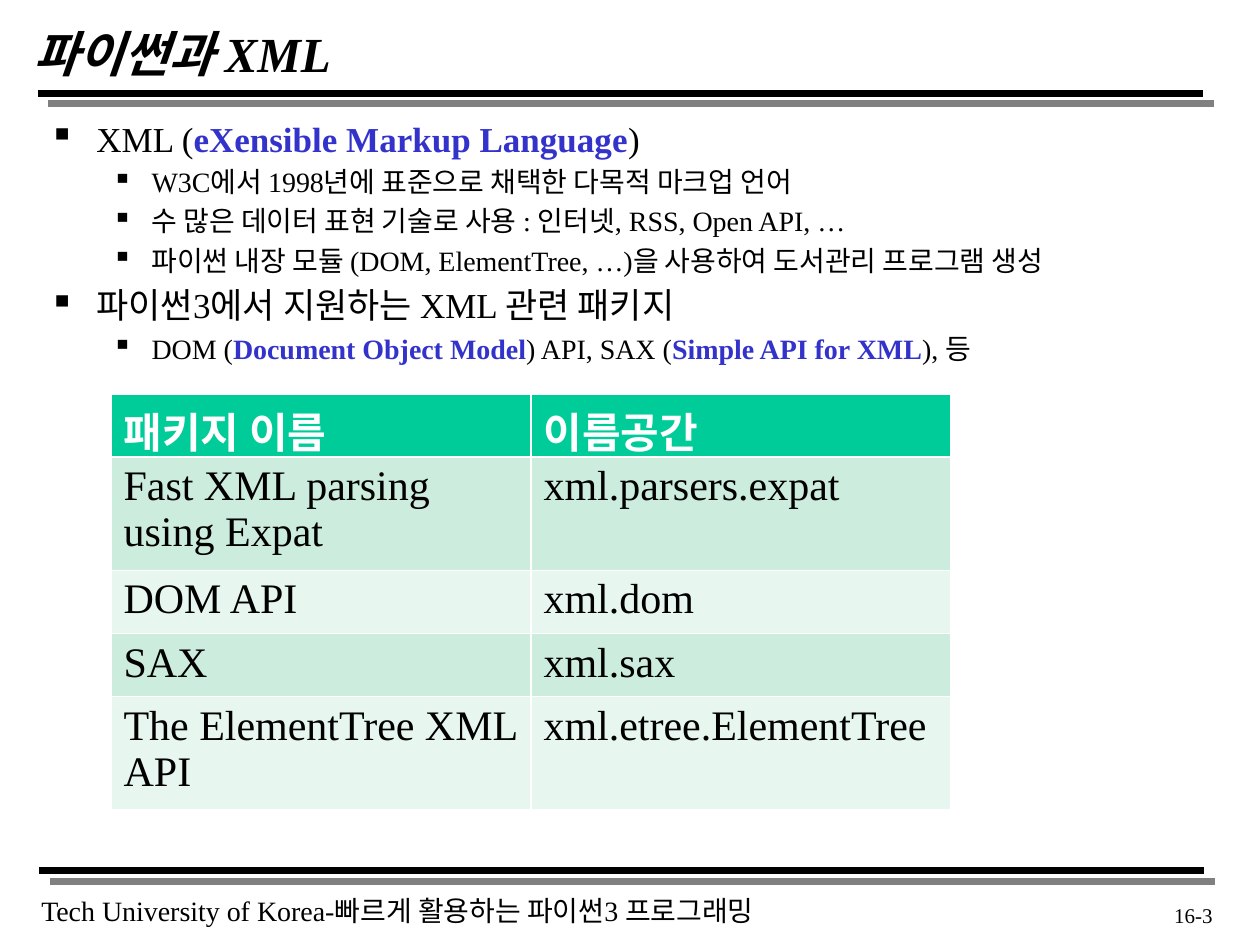
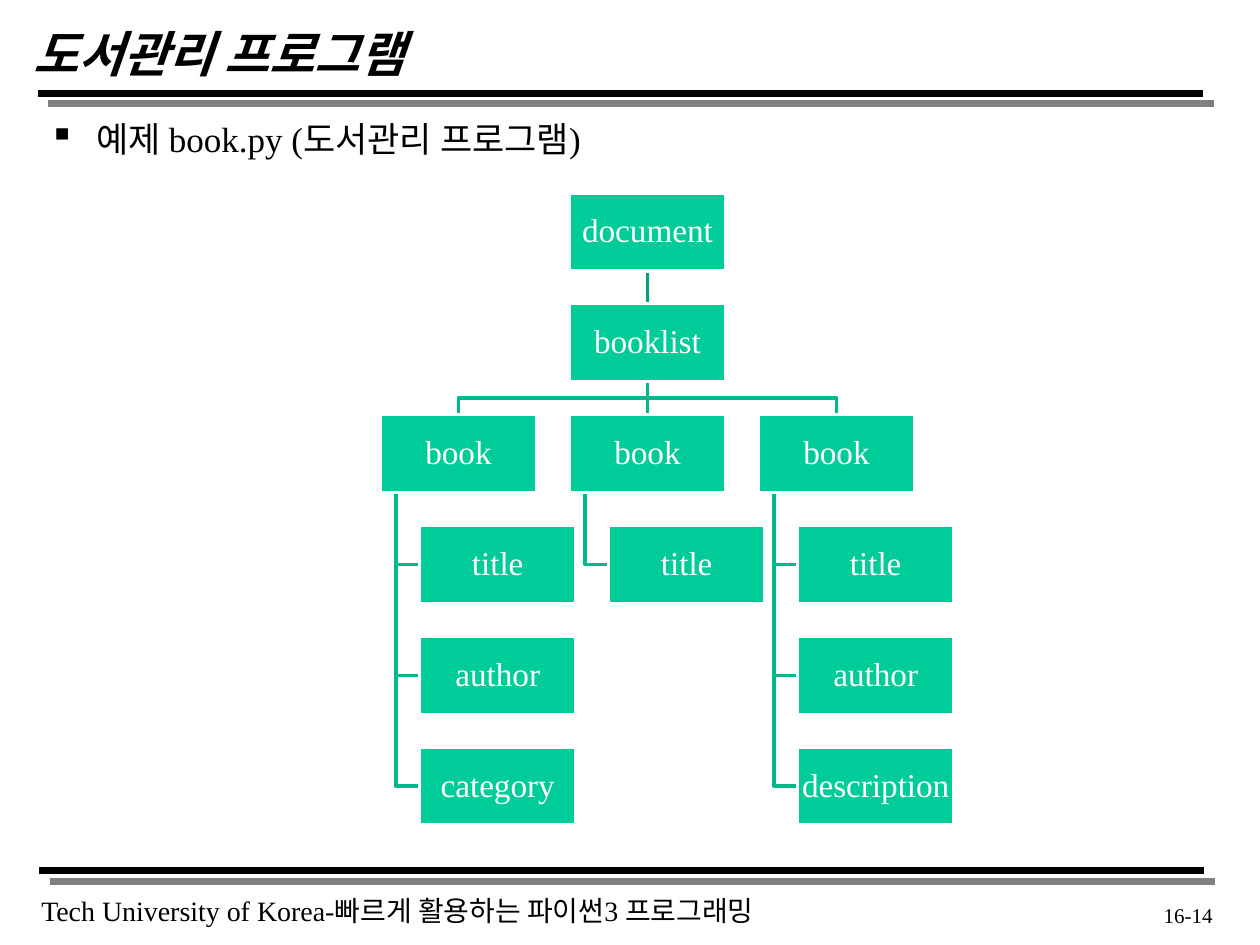
from lxml import etree
from pptx import Presentation
from pptx.dml.color import RGBColor
from pptx.enum.shapes import MSO_CONNECTOR, MSO_SHAPE
from pptx.enum.text import MSO_ANCHOR, MSO_AUTO_SIZE, PP_ALIGN
from pptx.oxml import parse_xml
from pptx.oxml.ns import qn
from pptx.util import Pt

STRAIGHT = MSO_CONNECTOR.STRAIGHT
RECTANGLE = MSO_SHAPE.RECTANGLE
MIDDLE = MSO_ANCHOR.MIDDLE
NO_FIT = MSO_AUTO_SIZE.NONE
LEFT, CENTER, RIGHT = PP_ALIGN.LEFT, PP_ALIGN.CENTER, PP_ALIGN.RIGHT

BLACK = RGBColor(0x00, 0x00, 0x00)
WHITE = RGBColor(0xFF, 0xFF, 0xFF)
BLUE = RGBColor(0x33, 0x33, 0xCC)
GREEN = RGBColor(0x00, 0xCC, 0x99)
ROOT_LINK = RGBColor(0x00, 0xA3, 0x7B)
LINK = RGBColor(0x00, 0xB9, 0x8B)
ROW_TINTS = [RGBColor(0xE7, 0xF6, 0xEF), RGBColor(0xCC, 0xEC, 0xDE)]

FONT = "Times New Roman"
FOOTER = "Tech University of Korea-빠르게 활용하는 파이썬3 프로그래밍"
BAND_SHADOW = (
    '<a:effectLst xmlns:a="http://schemas.openxmlformats.org/drawingml/2006/main">'
    '<a:outerShdw dist="107950" dir="2700000" algn="ctr" rotWithShape="0">'
    '<a:srgbClr val="808080"/></a:outerShdw></a:effectLst>'
)

# Bullet levels: left margin, hanging indent, text size, space before
LEVELS = [(27, 27, 20, 4), (58.5, 22.5, 16, 3.2)]

# Page title, page number, bullets as (level, text) with *highlighted* words
PAGES = [
    ("파이썬과 XML", "16-3", [
        (0, "XML (*eXensible Markup Language*)"),
        (1, "W3C에서 1998년에 표준으로 채택한 다목적 마크업 언어"),
        (1, "수 많은 데이터 표현 기술로 사용 : 인터넷, RSS, Open API, …"),
        (1, "파이썬 내장 모듈 (DOM, ElementTree, …)을 사용하여 도서관리 프로그램 생성"),
        (0, "파이썬3에서 지원하는 XML 관련 패키지"),
        (1, "DOM (*Document Object Model*) API, SAX (*Simple API for XML*), 등"),
    ]),
    ("도서관리 프로그램", "16-14", [(0, "예제 book.py (도서관리 프로그램)")]),
]

PACKAGES = [
    ("패키지 이름", "이름공간"),
    ("Fast XML parsing using Expat", "xml.parsers.expat"),
    ("DOM API", "xml.dom"),
    ("SAX", "xml.sax"),
    ("The ElementTree XML API", "xml.etree.ElementTree"),
]

BOOKS = [["title", "author", "category"], ["title"], ["title", "author", "description"]]


def write(para, text, color=BLACK, **format_values):
    span = para.add_run()
    span.text = text
    span.font.name = FONT
    span.font.color.rgb = color
    for name, value in format_values.items():
        setattr(span.font, name, value)


def link(page, points, color=LINK):
    """Draw an open line through points given in points of length."""
    if len(points) == 2:
        line = page.shapes.add_connector(STRAIGHT, *[Pt(v) for point in points for v in point])
        etree.SubElement(line._element.spPr, qn("a:effectLst"))
    else:
        corners = [(Pt(x), Pt(y)) for x, y in points]
        builder = page.shapes.build_freeform(*corners[0], scale=1.0)
        builder.add_line_segments(corners[1:], close=False)
        line = builder.convert_to_shape()
        line.fill.background()
        line.shadow.inherit = False
    line.line.color.rgb = color
    line.line.width = Pt(2)


deck = Presentation()
deck.slide_width, deck.slide_height = Pt(720), Pt(540)
title_only = deck.slide_layouts[5]

for title_text, number, bullets in PAGES:
    page = deck.slides.add_slide(title_only)

    for left, y in [(21.6, 53.3), (22.3, 497.5)]:
        band = page.shapes.add_connector(STRAIGHT, Pt(left), Pt(y), Pt(left + 666), Pt(y))
        band.line.color.rgb = BLACK
        band.line.width = Pt(4)
        band._element.spPr.append(parse_xml(BAND_SHADOW))

    footer = page.shapes.add_textbox(Pt(16.5), Pt(507), Pt(447), Pt(26.6))
    write(footer.text_frame.paragraphs[0], FOOTER, size=Pt(16))

    title = page.shapes.title
    title.left, title.top, title.width, title.height = Pt(12), Pt(12), Pt(612), Pt(36)
    title.text_frame.auto_size = NO_FIT
    title.text_frame.vertical_anchor = MIDDLE
    para = title.text_frame.paragraphs[0]
    para.alignment = LEFT
    write(para, title_text, size=Pt(28), bold=True, italic=True)

    body = page.shapes.add_textbox(Pt(21), Pt(63.4), Pt(675), Pt(405))
    body.text_frame.word_wrap = True
    for index, (level, text) in enumerate(bullets):
        margin, hanging, size, space = LEVELS[level]
        para = body.text_frame.add_paragraph() if index else body.text_frame.paragraphs[0]
        para.level = level
        properties = para._p.get_or_add_pPr()
        properties.set("marL", str(Pt(margin)))
        properties.set("indent", str(-Pt(hanging)))
        etree.SubElement(properties, qn("a:buChar"), char="▪")
        para.space_before = Pt(space if index else 0)
        for part, words in enumerate(text.split("*")):
            marked = part % 2 == 1
            write(para, words, BLUE if marked else BLACK, size=Pt(size), bold=marked)

    number_box = page.shapes.add_textbox(Pt(640), Pt(512), Pt(60), Pt(23))
    number_box.text_frame.word_wrap = True
    para = number_box.text_frame.paragraphs[0]
    para.alignment = RIGHT
    write(para, number, size=Pt(12))

package_page, tree_page = deck.slides

# Table of XML packages
table = package_page.shapes.add_table(
    len(PACKAGES), 2, Pt(63.4), Pt(225), Pt(480), Pt(146)).table
for row, names in enumerate(PACKAGES):
    for column, name in enumerate(names):
        cell = table.cell(row, column)
        cell.fill.solid()
        cell.fill.fore_color.rgb = ROW_TINTS[row % 2] if row else GREEN
        write(cell.text_frame.paragraphs[0], name, BLACK if row else WHITE,
              size=Pt(24), bold=row == 0)

# Tree of the book document
NODE_WIDTH, NODE_HEIGHT = 89.3, 44.6
TOP, ROW_STEP = 110.2, 63.36
BOOK_LEFT, BOOK_STEP = 217.4, 108
CHILD_INDENT, SPINE_INDENT = 22.4, 8.9

row_tops = [TOP + ROW_STEP * row for row in range(6)]
root_left = BOOK_LEFT + BOOK_STEP
root_center = root_left + NODE_WIDTH / 2
list_bottom = row_tops[1] + NODE_HEIGHT
fork = (list_bottom + row_tops[2]) / 2

nodes = [("document", root_left, row_tops[0]), ("booklist", root_left, row_tops[1])]
link(tree_page, [(root_center, row_tops[0] + NODE_HEIGHT), (root_center, row_tops[1])], ROOT_LINK)

for index, fields in enumerate(BOOKS):
    left = BOOK_LEFT + BOOK_STEP * index
    center = left + NODE_WIDTH / 2
    nodes.append(("book", left, row_tops[2]))
    bend = [(root_center, fork), (center, fork)] if left != root_left else []
    link(tree_page, [(root_center, list_bottom), *bend, (center, row_tops[2])])

    spine = left + SPINE_INDENT
    child_left = left + CHILD_INDENT
    for field, top in zip(fields, row_tops[3:]):
        nodes.append((field, child_left, top))
        middle = top + NODE_HEIGHT / 2
        link(tree_page, [(spine, row_tops[2] + NODE_HEIGHT), (spine, middle), (child_left, middle)])

for name, left, top in nodes:
    box = tree_page.shapes.add_shape(RECTANGLE, Pt(left), Pt(top), Pt(NODE_WIDTH), Pt(NODE_HEIGHT))
    box.shadow.inherit = False
    box.fill.solid()
    box.fill.fore_color.rgb = GREEN
    box.line.color.rgb = WHITE
    box.line.width = Pt(2)
    frame = box.text_frame
    frame.word_wrap = True
    frame.vertical_anchor = MIDDLE
    for side in ("left", "top", "right", "bottom"):
        setattr(frame, f"margin_{side}", Pt(0.7))
    para = frame.paragraphs[0]
    para.alignment = CENTER
    para.line_spacing = 0.9
    write(para, name, WHITE, size=Pt(19))

deck.save("out.pptx")
